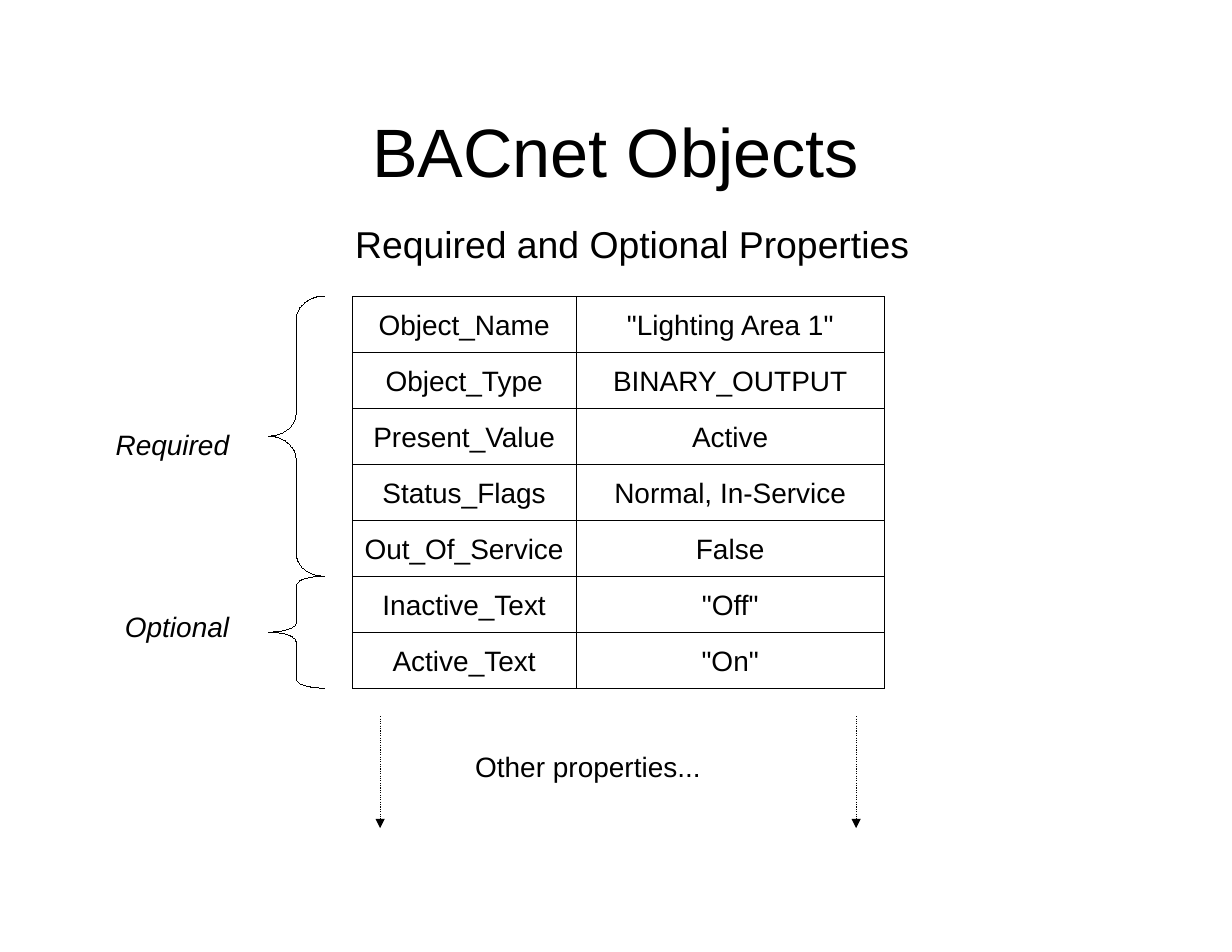
from pptx import Presentation
from pptx.dml.color import RGBColor
from pptx.enum.dml import MSO_LINE
from pptx.enum.shapes import MSO_CONNECTOR, MSO_SHAPE
from pptx.enum.text import MSO_ANCHOR, PP_ALIGN
from pptx.oxml.ns import qn
from pptx.util import Pt
from lxml.etree import SubElement

BLACK = "000000"
WHITE = "FFFFFF"
REQUIRED = [
    ("Object_Name", '"Lighting Area 1"'),
    ("Object_Type", "BINARY_OUTPUT"),
    ("Present_Value", "Active"),
    ("Status_Flags", "Normal, In-Service"),
    ("Out_Of_Service", "False"),
]
OPTIONAL = [("Inactive_Text", '"Off"'), ("Active_Text", '"On"')]
NAME_WIDTH, VALUE_WIDTH = 144, 198
ROW_HEIGHT = 36
GRID_LEFT, GRID_TOP = 226.4, 190.4
BRACE_LEFT, BRACE_WIDTH = 172.4, 36
ARROW_INSET, ARROW_GAP, ARROW_LENGTH = 18, 18, 72


def color(value):
    """Turn a hex string into a colour."""
    return RGBColor.from_string(value)


def write(frame, text, size=18, italic=False, align=PP_ALIGN.CENTER):
    """Put one formatted paragraph into a text frame."""
    frame.word_wrap = True
    para = frame.paragraphs[0]
    para.alignment = align
    span = para.add_run()
    span.text = text
    span.font.name = "Arial"
    span.font.size = Pt(size)
    span.font.italic = italic
    span.font.color.rgb = color(BLACK)


def set_hairline(shape):
    """Give a shape or connector the thinnest black line."""
    shape.line.color.rgb = color(BLACK)
    shape.line._get_or_add_ln().set("w", "0")


def place_title(page, text):
    """Position and fill the title placeholder."""
    title = page.shapes.title
    title.left, title.top, title.width, title.height = Pt(65), Pt(53.5), Pt(662), Pt(86)
    frame = title.text_frame
    frame.margin_left = frame.margin_right = frame.margin_top = frame.margin_bottom = 0
    frame.vertical_anchor = MSO_ANCHOR.MIDDLE
    write(frame, text, size=44)


def add_label(page, text, left, top, width, height=27, **style):
    """Add a text box with one line of text."""
    box = page.shapes.add_textbox(Pt(left), Pt(top), Pt(width), Pt(height))
    write(box.text_frame, text, **style)


def add_cell(page, text, left, top, width):
    """Add one outlined rectangle of the property grid."""
    box = page.shapes.add_shape(
        MSO_SHAPE.RECTANGLE, Pt(left), Pt(top), Pt(width), Pt(ROW_HEIGHT))
    box.shadow.inherit = False
    box.fill.solid()
    box.fill.fore_color.rgb = color(WHITE)
    set_hairline(box)
    box.text_frame.vertical_anchor = MSO_ANCHOR.MIDDLE
    write(box.text_frame, text)


def add_property_grid(page, rows):
    """Add a pair of rectangles for each property name and value."""
    for index, (name, value) in enumerate(rows):
        top = GRID_TOP + ROW_HEIGHT * index
        add_cell(page, name, GRID_LEFT, top, NAME_WIDTH)
        add_cell(page, value, GRID_LEFT + NAME_WIDTH, top, VALUE_WIDTH)


def add_brace(page, first_row, row_count):
    """Add a left brace that spans a group of grid rows."""
    height = ROW_HEIGHT * row_count
    brace = page.shapes.add_shape(
        MSO_SHAPE.LEFT_BRACE, Pt(BRACE_LEFT), Pt(GRID_TOP + ROW_HEIGHT * first_row),
        Pt(BRACE_WIDTH), Pt(height))
    brace.adjustments[0] = height / 12 / BRACE_WIDTH
    brace.shadow.inherit = False
    brace.fill.background()
    set_hairline(brace)


def add_down_arrow(page, x, top):
    """Add a dotted arrow that points down."""
    arrow = page.shapes.add_connector(
        MSO_CONNECTOR.STRAIGHT, Pt(x), Pt(top), Pt(x), Pt(top + ARROW_LENGTH))
    set_hairline(arrow)
    arrow.line.dash_style = MSO_LINE.ROUND_DOT
    SubElement(arrow.line._get_or_add_ln(), qn("a:tailEnd"), type="triangle")
    SubElement(arrow._element.spPr, qn("a:effectLst"))


def main():
    """Build the slide and save the deck."""
    deck = Presentation()
    deck.slide_width, deck.slide_height = Pt(792), Pt(612)
    page = deck.slides.add_slide(deck.slide_layouts[5])
    place_title(page, "BACnet Objects")
    add_label(page, "Required and Optional Properties", 136.4, 138.4, 540, 34, size=24)

    rows = REQUIRED + OPTIONAL
    add_property_grid(page, rows)
    add_brace(page, 0, len(REQUIRED))
    add_brace(page, len(REQUIRED), len(OPTIONAL))
    for text, top in (("Required", 271.4), ("Optional", 388.4)):
        add_label(page, text, 64.4, top, 90, italic=True, align=PP_ALIGN.RIGHT)

    arrow_top = GRID_TOP + ROW_HEIGHT * len(rows) + ARROW_GAP
    grid_right = GRID_LEFT + NAME_WIDTH + VALUE_WIDTH
    for x in (GRID_LEFT + ARROW_INSET, grid_right - ARROW_INSET):
        add_down_arrow(page, x, arrow_top)
    add_label(page, "Other properties...", 298.4, 478.4, 216, align=PP_ALIGN.LEFT)
    deck.save("out.pptx")


if __name__ == "__main__":
    main()
